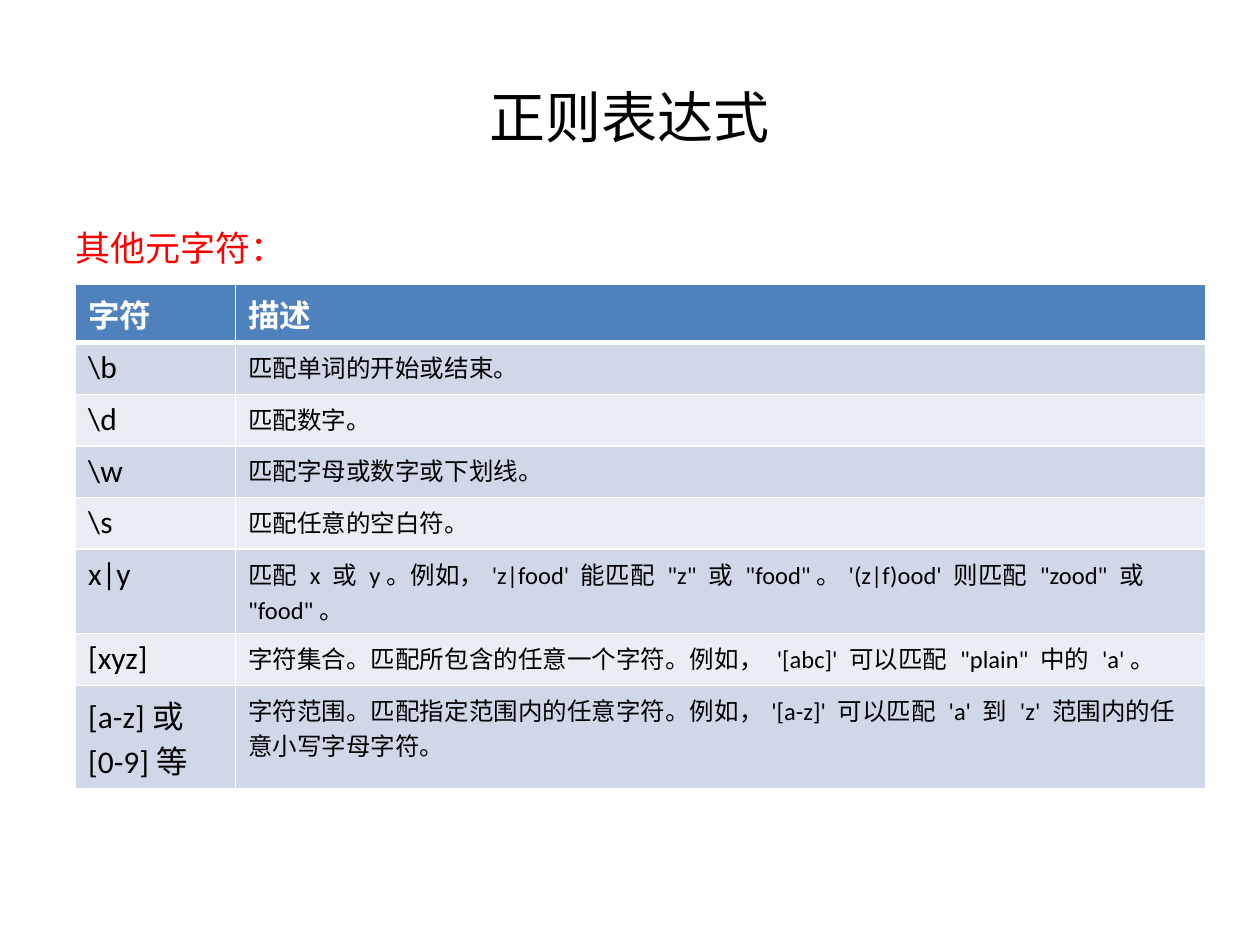
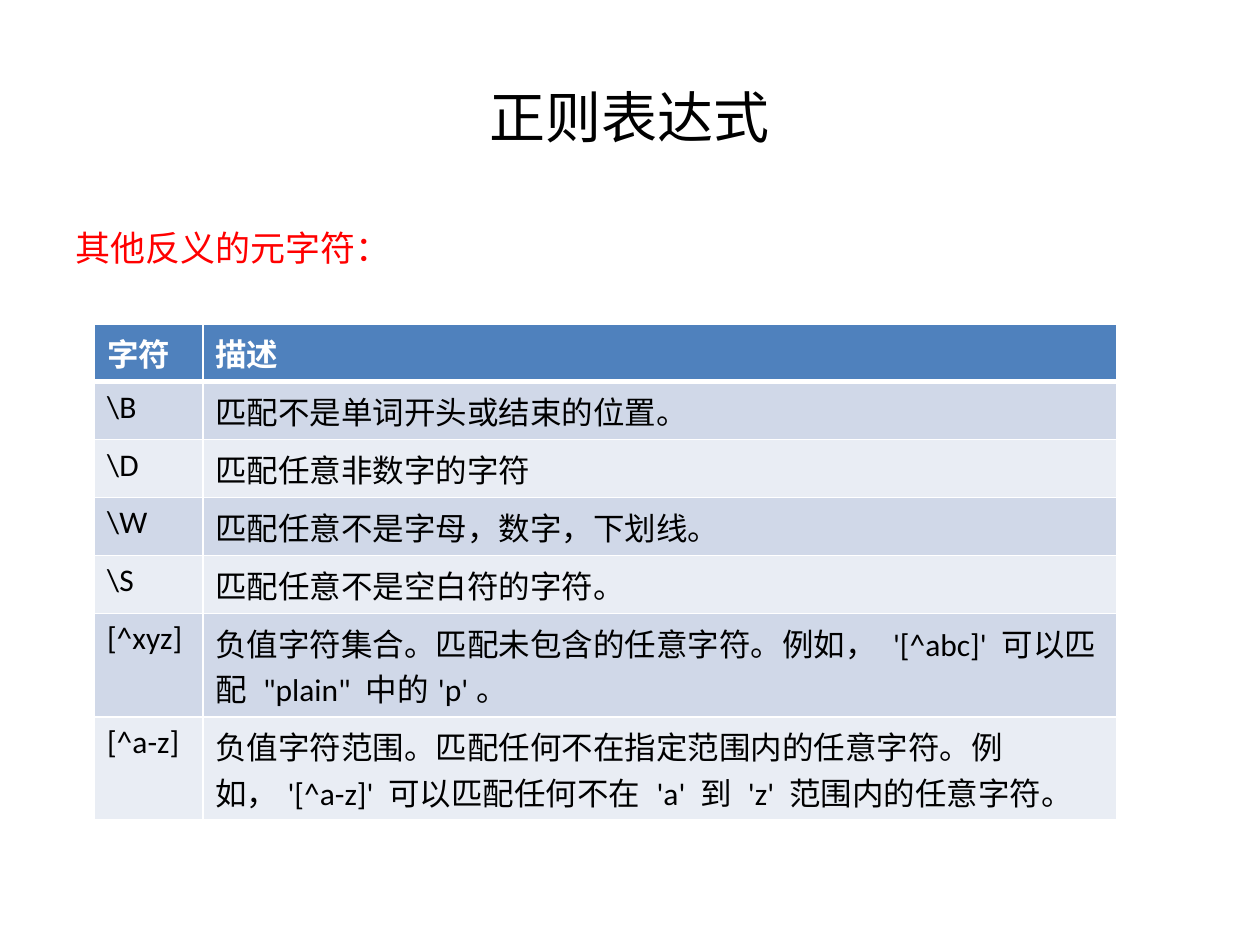
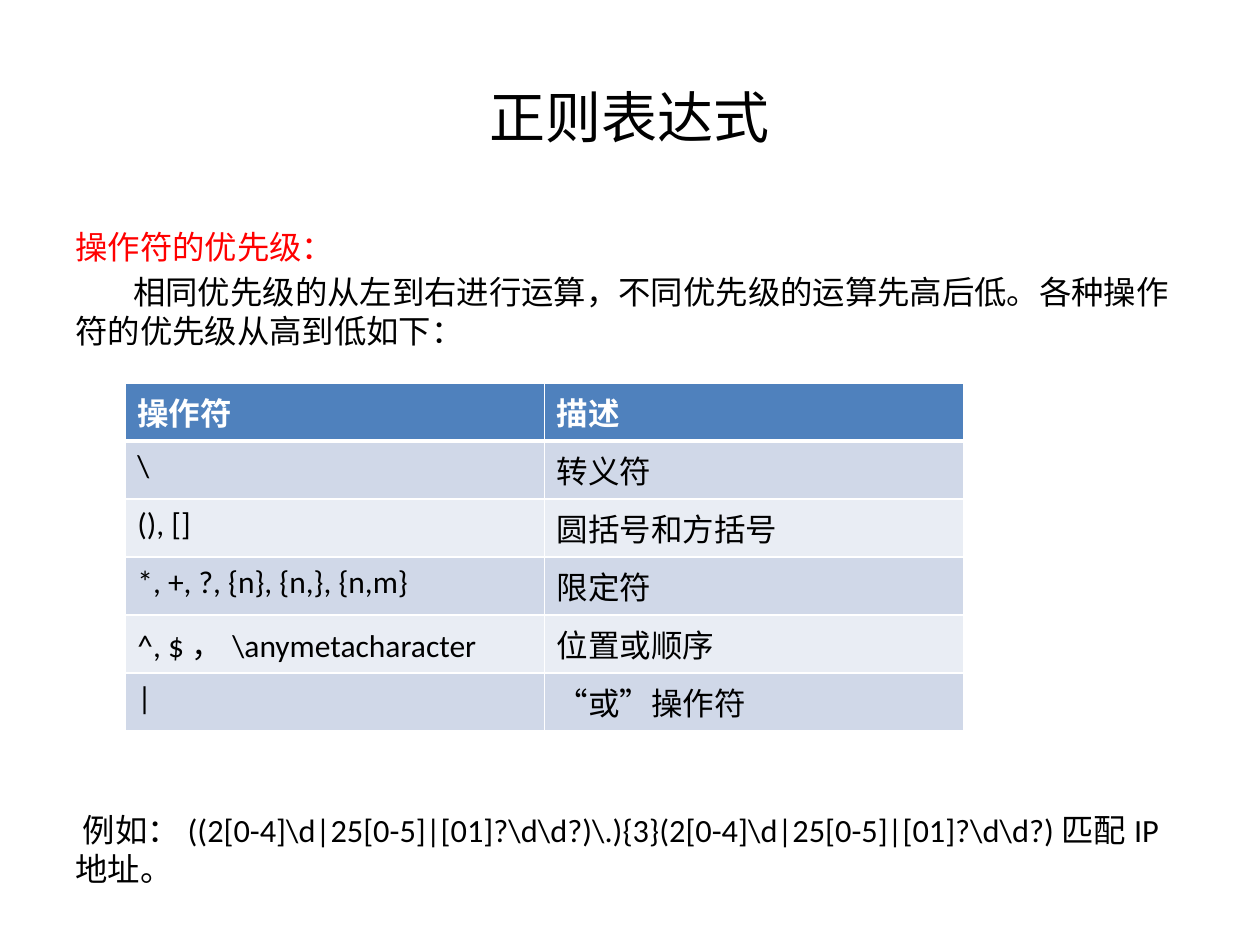
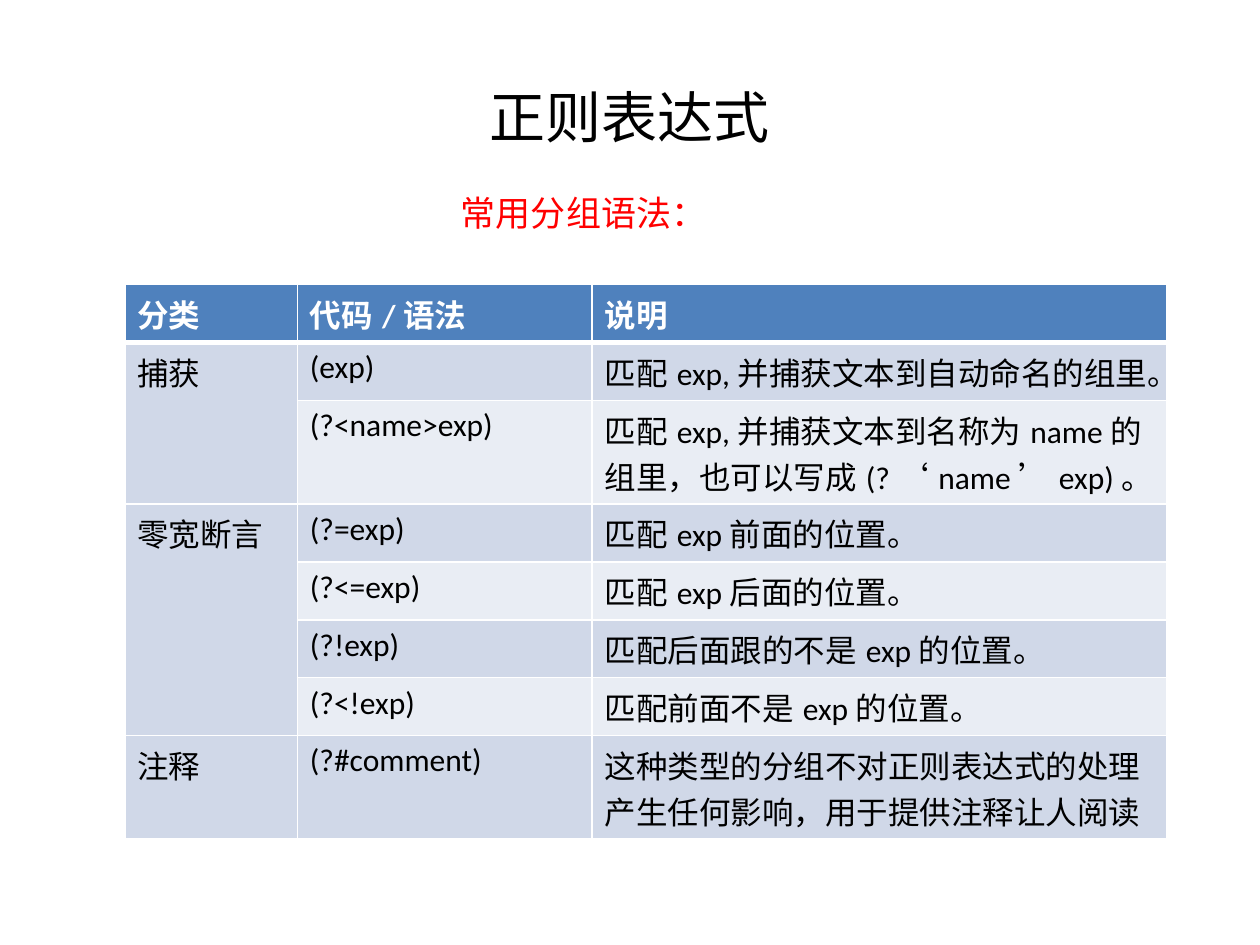
from pptx import Presentation
from pptx.dml.color import RGBColor
from pptx.enum.text import MSO_ANCHOR, PP_ALIGN
from pptx.oxml.ns import qn
from pptx.util import Inches, Pt
from lxml import etree

MIDDLE = MSO_ANCHOR.MIDDLE
TOP = MSO_ANCHOR.TOP
CENTER = PP_ALIGN.CENTER
LEFT = PP_ALIGN.LEFT

FONT = "Calibri"
COLORS = {
    "text": "000000",
    "accent": "FF0000",
    "header": "4F81BD",
    "odd_row": "D0D8E8",
    "even_row": "E9EDF4",
    "border": "FFFFFF",
}
TITLE = "正则表达式"
TITLE_BOX = (0.5, 0.3, 9, 1.25)
BLANK_LAYOUT = 6

# Row heights for one and two lines of text
ONE_LINE, TWO_LINES = 0.46, 0.82
SMALL_ONE_LINE, SMALL_TWO_LINES = 0.41, 0.67

METACHARACTERS = [
    ("字符", "描述"),
    (r"\b", "匹配单词的开始或结束。"),
    (r"\d", "匹配数字。"),
    (r"\w", "匹配字母或数字或下划线。"),
    (r"\s", "匹配任意的空白符。"),
    ("x|y", "匹配 x 或 y。例如，'z|food' 能匹配 \"z\" 或 \"food\"。"
            "'(z|f)ood' 则匹配 \"zood\" 或 \"food\"。"),
    ("[xyz]", "字符集合。匹配所包含的任意一个字符。例如， '[abc]' 可以匹配 \"plain\" 中的 'a'。"),
    ("[a-z]或[0-9]等", "字符范围。匹配指定范围内的任意字符。例如，"
                     "'[a-z]' 可以匹配 'a' 到 'z' 范围内的任意小写字母字符。"),
]
NEGATED_METACHARACTERS = [
    ("字符", "描述"),
    (r"\B", "匹配不是单词开头或结束的位置。"),
    (r"\D", "匹配任意非数字的字符"),
    (r"\W", "匹配任意不是字母，数字，下划线。"),
    (r"\S", "匹配任意不是空白符的字符。"),
    ("[^xyz]", "负值字符集合。匹配未包含的任意字符。例如， '[^abc]' 可以匹配 \"plain\" 中的'p'。"),
    ("[^a-z]", "负值字符范围。匹配任何不在指定范围内的任意字符。例如，"
               "'[^a-z]' 可以匹配任何不在 'a' 到 'z' 范围内的任意字符。"),
]
OPERATORS = [
    ("操作符", "描述"),
    ("\\", "转义符"),
    ("(), []", "圆括号和方括号"),
    ("*, +, ?, {n}, {n,}, {n,m}", "限定符"),
    (r"^, $，\anymetacharacter", "位置或顺序"),
    ("|", "“或”操作符"),
]
# None continues the category above
GROUPS = [
    ("分类", "代码/语法", "说明"),
    ("捕获", "(exp)", "匹配exp,并捕获文本到自动命名的组里。"),
    (None, "(?<name>exp)", "匹配exp,并捕获文本到名称为name的组里，也可以写成(?‘name’exp)。"),
    ("零宽断言", "(?=exp)", "匹配exp前面的位置。"),
    (None, "(?<=exp)", "匹配exp后面的位置。"),
    (None, "(?!exp)", "匹配后面跟的不是exp的位置。"),
    (None, "(?<!exp)", "匹配前面不是exp的位置。"),
    ("注释", "(?#comment)", "这种类型的分组不对正则表达式的处理产生任何影响，用于提供注释让人阅读"),
]
PRIORITY_RULE = "相同优先级的从左到右进行运算，不同优先级的运算先高后低。各种操作符的优先级从高到低如下："
ADDRESS_EXAMPLE = (r"例如：((2[0-4]\d|25[0-5]|[01]?\d\d?)\.){3}"
                   r"(2[0-4]\d|25[0-5]|[01]?\d\d?)匹配IP地址。")


def rgb(name):
    return RGBColor.from_string(COLORS[name])


def write(para, text, size, color, bold=False):
    para.text = text
    for span in para.runs:
        span.font.name = FONT
        span.font.size = Pt(size)
        span.font.bold = bold
        span.font.color.rgb = rgb(color)


def add_text(page, box, lines, size, anchor=TOP, align=LEFT):
    """Write lines of (text, color, first-line indent in inches) into a box."""
    frame = page.shapes.add_textbox(*map(Inches, box)).text_frame
    frame.word_wrap = True
    frame.vertical_anchor = anchor
    for index, (text, color, indent) in enumerate(lines):
        para = frame.paragraphs[0] if index == 0 else frame.add_paragraph()
        write(para, text, size, color)
        para.alignment = align
        if index:
            para.space_before = Pt(size * 0.2)
        if indent:
            para._p.get_or_add_pPr().set("indent", str(Inches(indent)))


def set_borders(cell, top, bottom):
    properties = cell._tc.get_or_add_tcPr()
    widths = (("a:lnL", 1), ("a:lnR", 1), ("a:lnT", top), ("a:lnB", bottom))
    for position, (tag, width) in enumerate(widths):
        line = etree.Element(qn(tag), w=str(Pt(width)))
        fill = etree.SubElement(line, qn("a:solidFill"))
        etree.SubElement(fill, qn("a:srgbClr"), val=COLORS["border"])
        properties.insert(position, line)


def add_grid(page, left, top, widths, heights, rows, last_size=18):
    """Draw a banded table; last_size is the text size of the last column."""
    table = page.shapes.add_table(
        len(rows), len(widths), Inches(left), Inches(top),
        Inches(sum(widths)), Inches(sum(heights))).table
    for column, width in zip(table.columns, widths):
        column.width = Inches(width)
    for table_row, height in zip(table.rows, heights):
        table_row.height = Inches(height)

    for row_index, row in enumerate(rows):
        is_header = row_index == 0
        band = "header" if is_header else "odd_row" if row_index % 2 else "even_row"
        for column_index, text in enumerate(row):
            cell = table.cell(row_index, column_index)
            cell.fill.solid()
            cell.fill.fore_color.rgb = rgb(band)
            set_borders(cell, 3 if row_index == 1 else 1, 3 if is_header else 1)
            if text is not None:
                is_last = column_index == len(row) - 1
                size = last_size if is_last and not is_header else 18
                write(cell.text_frame.paragraphs[0], text, size,
                      "border" if is_header else "text", is_header)

    # Merge each category with the open cells below it
    starts = [index for index, row in enumerate(rows) if row[0] is not None]
    for start, following in zip(starts, starts[1:] + [len(rows)]):
        if following - start > 1:
            table.cell(start, 0).merge(table.cell(following - 1, 0))


def add_page(deck):
    page = deck.slides.add_slide(deck.slide_layouts[BLANK_LAYOUT])
    add_text(page, TITLE_BOX, [(TITLE, "text", 0)], 32, MIDDLE, CENTER)
    return page


def add_heading(page, text, top=1.75, indent=0):
    add_text(page, (0.5, top, 9, 0.45), [(text, "accent", indent)], 20)


def build_metacharacters(deck):
    page = add_page(deck)
    add_heading(page, "其他元字符：")
    heights = [ONE_LINE] + [SMALL_ONE_LINE] * 4
    heights += [SMALL_TWO_LINES, SMALL_ONE_LINE, TWO_LINES]
    add_grid(page, 0.6, 2.26, (1.27, 7.7), heights, METACHARACTERS, last_size=14)


def build_negated(deck):
    page = add_page(deck)
    add_heading(page, "其他反义的元字符：")
    heights = [ONE_LINE] * 5 + [TWO_LINES] * 2
    add_grid(page, 0.75, 2.57, (0.86, 7.25), heights, NEGATED_METACHARACTERS)


def build_priorities(deck):
    page = add_page(deck)
    intro = [("操作符的优先级：", "accent", 0), (PRIORITY_RULE, "text", 0.46)]
    add_text(page, (0.5, 1.75, 9, 1.1), intro, 18.5)
    heights = [ONE_LINE] * len(OPERATORS)
    add_grid(page, 0.99, 3.04, (3.33, 3.33), heights, OPERATORS)
    add_text(page, (0.5, 6.38, 9, 0.75), [(ADDRESS_EXAMPLE, "text", 0.06)], 18.5)


def build_groups(deck):
    page = add_page(deck)
    add_heading(page, "常用分组语法：", top=1.47, indent=3.06)
    heights = [ONE_LINE] * 2 + [TWO_LINES] + [ONE_LINE] * 4 + [TWO_LINES]
    add_grid(page, 0.99, 2.26, (1.37, 2.34, 4.56), heights, GROUPS)


def main():
    deck = Presentation()
    deck.slide_width = Inches(10)
    deck.slide_height = Inches(7.5)
    for build in (build_metacharacters, build_negated, build_priorities, build_groups):
        build(deck)
    deck.save("out.pptx")


if __name__ == "__main__":
    main()
